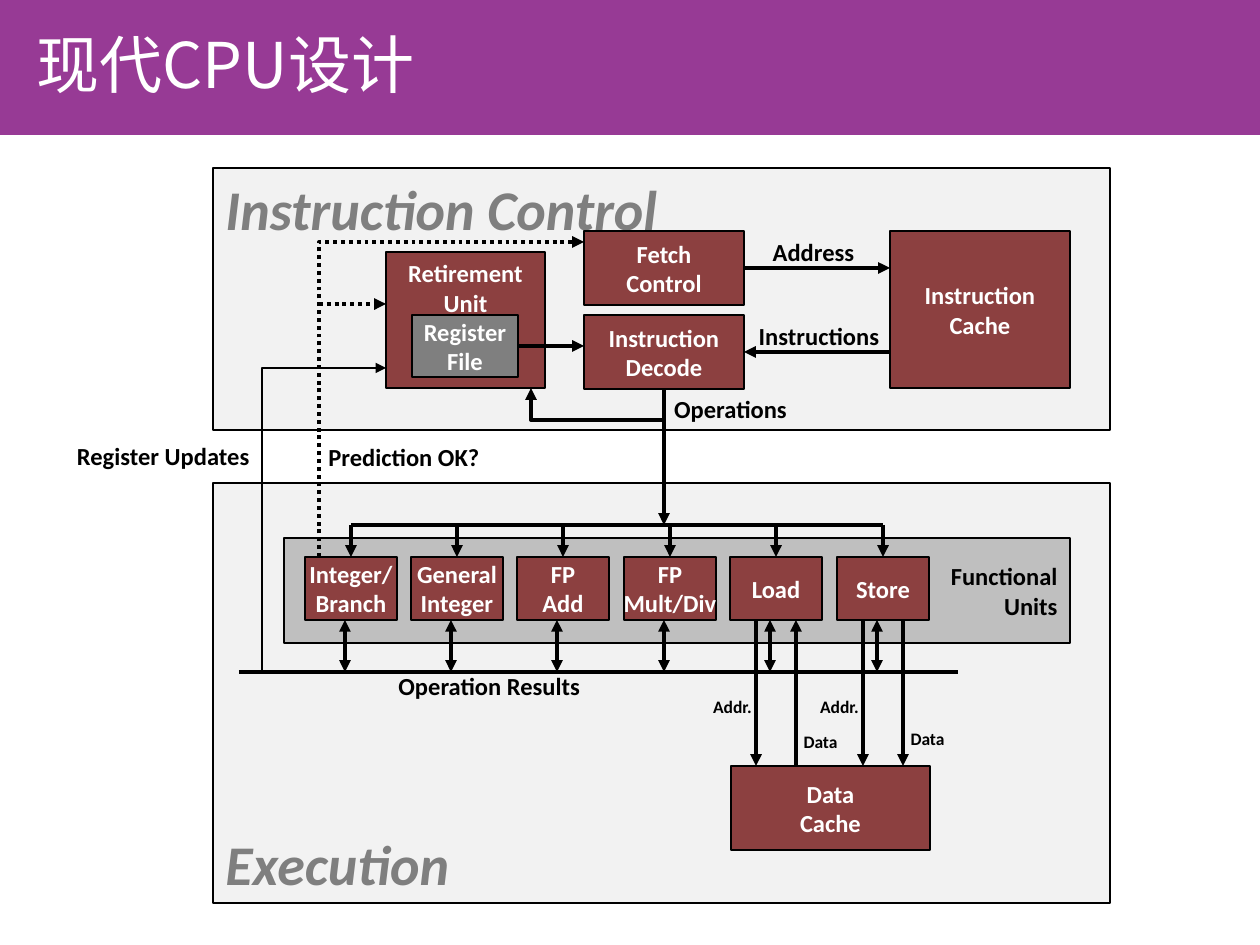
from lxml.etree import SubElement
from pptx import Presentation
from pptx.dml.color import RGBColor
from pptx.enum.dml import MSO_LINE
from pptx.enum.shapes import MSO_CONNECTOR, MSO_SHAPE
from pptx.enum.text import MSO_ANCHOR as ANCHOR, MSO_AUTO_SIZE as AUTO, PP_ALIGN as ALIGN
from pptx.oxml.ns import qn
from pptx.util import Emu, Pt

SCALE = 914400 / 126
PURPLE = RGBColor(0x97, 0x3A, 0x95)
MAROON = RGBColor(0x8C, 0x40, 0x40)
PALE = RGBColor(0xF2, 0xF2, 0xF2)
SILVER = RGBColor(0xBF, 0xBF, 0xBF)
GRAY = RGBColor(0x7F, 0x7F, 0x7F)
BLACK = RGBColor(0, 0, 0)
WHITE = RGBColor(0xFF, 0xFF, 0xFF)
UNITS = ["Integer/\nBranch", "General\nInteger", "FP\nAdd", "FP\nMult/Div", "Load", "Store"]


def px(v):
    return Emu(round(v * SCALE))


def place(box, *part):
    x, y, w, h = part
    return px(box[0] + x), px(box[1] + y), px(w), px(h)


def write(tf, text, size=14, color=WHITE, font="Calibri", bold=True, italic=False,
          align=ALIGN.CENTER, anchor=ANCHOR.MIDDLE, wrap=False):
    tf.word_wrap = wrap
    tf.vertical_anchor = anchor
    for i, line in enumerate(text.split("\n")):
        p = tf.add_paragraph() if i else tf.paragraphs[0]
        p.alignment = align
        r = p.add_run()
        r.text = line
        f = r.font
        f.size, f.name, f.bold, f.italic = Pt(size), font, bold, italic
        f.color.rgb = color
        SubElement(r.font._element, qn("a:ea"), typeface=font)


def block(s, box, part, text="", fill=MAROON, line=0.75, **fmt):
    sp = s.shapes.add_shape(MSO_SHAPE.RECTANGLE, *place(box, *part))
    sp.shadow.inherit = False
    sp.fill.solid()
    sp.fill.fore_color.rgb = fill
    if line:
        sp.line.color.rgb = BLACK
        sp.line.width = Pt(line)
    else:
        sp.line.fill.background()
    if text:
        write(sp.text_frame, text, **fmt)
    return sp


def label(s, box, part, text, **fmt):
    tf = s.shapes.add_textbox(*place(box, *part)).text_frame
    write(tf, text, **{"color": BLACK, "anchor": ANCHOR.TOP, **fmt})
    tf.auto_size = AUTO.SHAPE_TO_FIT_TEXT


def stroke(sp, width, ends, dotted):
    sp.line.color.rgb = BLACK
    sp.line.width = Pt(width)
    if dotted:
        sp.line.dash_style = MSO_LINE.ROUND_DOT
    ln = sp.element.spPr.find(qn("a:ln"))
    for end in ends:
        SubElement(ln, qn(f"a:{end}End"), type="triangle")


def link(s, box, start, end, ends=("tail",), width=2.25, dotted=False, source=None, target=None):
    x, y = box[:2]
    c = s.shapes.add_connector(MSO_CONNECTOR.STRAIGHT, px(x + start[0]), px(y + start[1]),
                               px(x + end[0]), px(y + end[1]))
    if source:
        c.begin_connect(*source)
    if target:
        c.end_connect(*target)
    stroke(c, width, ends, dotted)
    SubElement(c.element.spPr, qn("a:effectLst"))


def bent_arrow(s, box, points, width=2.25, dotted=False):
    first, *rest = [(box[0] + x, box[1] + y) for x, y in points]
    fb = s.shapes.build_freeform(*first, scale=SCALE)
    fb.add_line_segments(rest, close=False)
    sp = fb.convert_to_shape()
    sp.shadow.inherit = False
    sp.fill.background()
    stroke(sp, width, ("tail",), dotted)


def heading(s, box):
    title = s.shapes.title
    bar = block(s, box, (0, 0, box[2], box[3]), fill=PURPLE, line=0)
    title.element.addprevious(bar.element)
    title.left, title.top, title.width, title.height = place(box, 24, 17, 827, 95)
    write(title.text_frame, "现代CPU设计", size=36, font="Noto Sans CJK SC", bold=False,
          align=ALIGN.LEFT, wrap=True)
    title.text_frame.auto_size = AUTO.NONE


def instruction_control(s, box):
    block(s, box, (0, 0, box[2], box[3]), "Instruction Control", fill=PALE, line=1.5, size=32,
          color=GRAY, italic=True, align=ALIGN.LEFT, anchor=ANCHOR.TOP)
    block(s, box, (173, 84, 159, 136), "Retirement\nUnit", anchor=ANCHOR.TOP)
    registers = block(s, box, (199, 147, 106, 62), "Register\nFile", fill=GRAY)
    fetch = block(s, box, (371, 63, 160, 74), "Fetch\nControl")
    decode = block(s, box, (371, 147, 160, 74), "Instruction\nDecode")
    block(s, box, (677, 63, 180, 157), "Instruction\nCache")
    link(s, box, (531, 100), (677, 100), source=(fetch, 3))
    link(s, box, (677, 184), (531, 184), target=(decode, 3))
    link(s, box, (305, 178), (371, 178), source=(registers, 3))
    bent_arrow(s, box, [(451, 252), (318, 252), (318, 220)])
    label(s, box, (547, 63, 107, 43), "Address")
    label(s, box, (533, 147, 146, 43), "Instructions")
    label(s, box, (448, 220, 139, 43), "Operations")
    return decode


def execution(s, box):
    block(s, box, (0, 0, box[2], box[3]), "Execution", fill=PALE, line=1.5, size=32,
          color=GRAY, italic=True, align=ALIGN.LEFT, anchor=ANCHOR.BOTTOM)
    block(s, box, (71, 55, 786, 105), "Functional\nUnits", fill=SILVER, color=BLACK,
          align=ALIGN.RIGHT)
    lefts = [92 + i * 532 // 5 for i in range(len(UNITS))]
    for x, name in zip(lefts, UNITS):
        unit = block(s, box, (x, 74, 92, 63), name)
        link(s, box, (x + 46, 42), (x + 46, 74), target=(unit, 0))
        link(s, box, (x + 40, 137), (x + 40, 189), ends=("head", "tail"))
    link(s, box, (lefts[0] + 46, 42), (lefts[-1] + 46, 42), ends=())
    link(s, box, (26, 189), (745, 189), ends=())
    label(s, box, (173, 182, 208, 43), "Operation Results", align=ALIGN.LEFT)
    block(s, box, (518, 283, 199, 84), "Data\nCache")
    for x, data_y, data_end in ((lefts[-2], 242, "head"), (lefts[-1], 239, "tail")):
        link(s, box, (x + 26, 137), (x + 26, 283))
        link(s, box, (x + 66, 137), (x + 66, 283), ends=(data_end,))
        label(s, box, (x - 30, 207, 65, 34), "Addr.", size=10)
        label(s, box, (x + 61, data_y, 59, 34), "Data", size=10)


def feedback(s, box, decode):
    link(s, box, (601, 220), (601, 357), source=(decode, 2))
    bent_arrow(s, box, [(256, 389), (256, 74), (521, 74)], dotted=True)
    link(s, box, (256, 136), (323, 136), dotted=True)
    bent_arrow(s, box, [(199, 504), (199, 200), (323, 200)], width=1.5)
    label(s, box, (253, 268, 176, 43), "Prediction OK?", align=ALIGN.LEFT)
    label(s, box, (0, 267, 199, 43), "Register Updates", align=ALIGN.RIGHT)


def main():
    prs = Presentation()
    prs.slide_width, prs.slide_height = px(1260), px(945)
    s = prs.slides.add_slide(prs.slide_layouts[5])
    heading(s, (0, -1, 1260, 136))
    decode = instruction_control(s, (213, 168, 897, 262))
    execution(s, (213, 483, 897, 420))
    feedback(s, (63, 168, 1047, 735), decode)
    prs.save("out.pptx")


if __name__ == "__main__":
    main()
